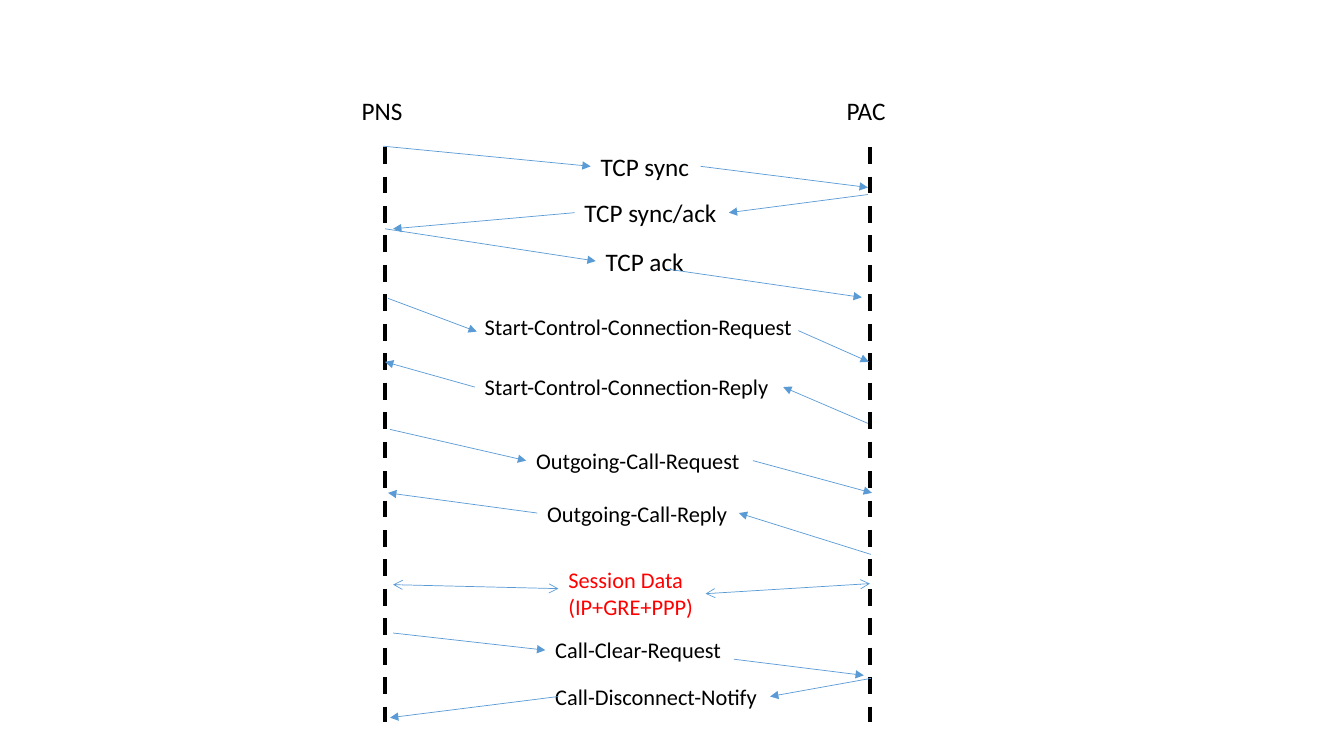
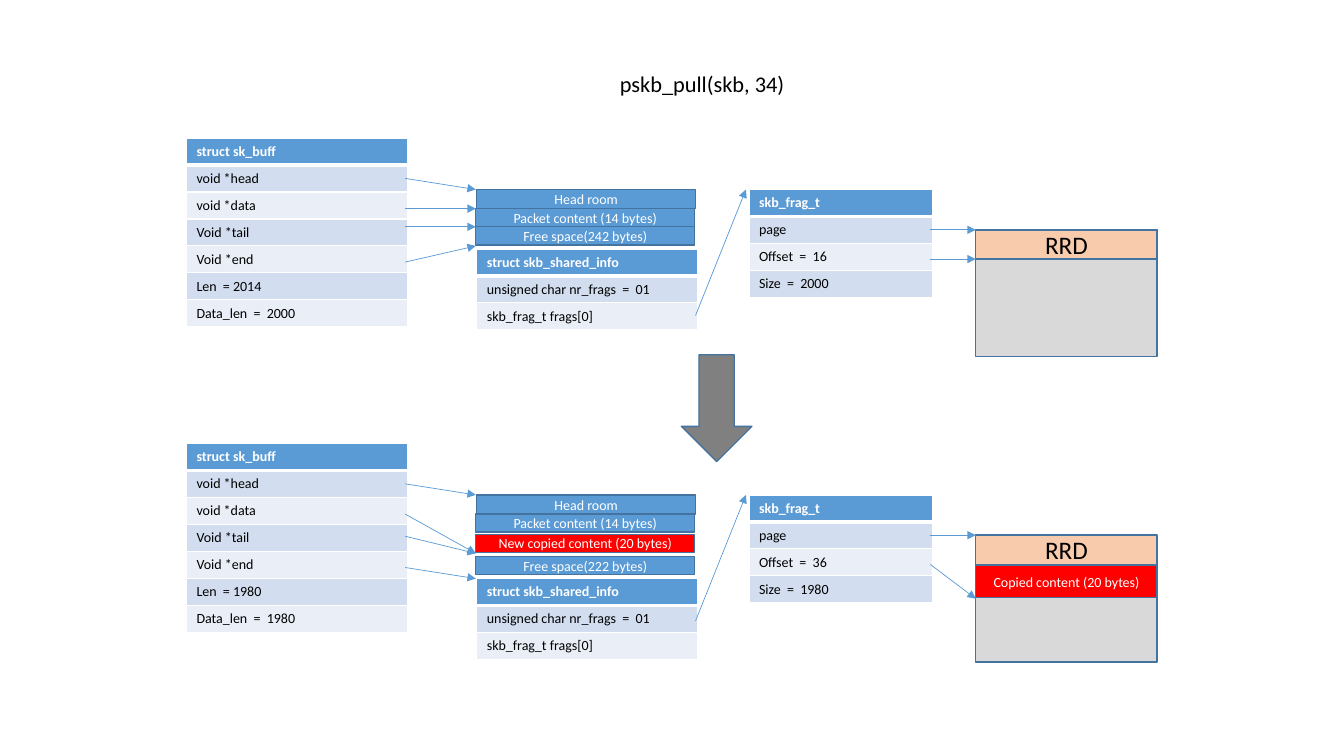
from typing import NamedTuple

from pptx import Presentation
from pptx import util as u
from pptx.dml.color import RGBColor
from pptx.enum import dml, shapes, text
from pptx.oxml import parse_xml
from pptx.oxml.ns import nsdecls, qn

BLACK = RGBColor(0x00, 0x00, 0x00)
WHITE = RGBColor(0xFF, 0xFF, 0xFF)
RED = RGBColor(0xFF, 0x00, 0x00)
BLUE = RGBColor(0x5B, 0x9B, 0xD5)
OUTLINE = RGBColor(0x43, 0x73, 0x9E)
BAND_DARK = RGBColor(0xD2, 0xDE, 0xEF)
BAND_LIGHT = RGBColor(0xEA, 0xEF, 0xF7)
GRAY = RGBColor(0x80, 0x80, 0x80)
PAGE_GRAY = RGBColor(0xD9, 0xD9, 0xD9)
PEACH = RGBColor(0xF8, 0xCB, 0xAD)

FONT = "Calibri"
CELL = u.Inches(0.1)  # columns and rows of the layout grid
SLIDE_COLUMNS, SLIDE_ROWS = 133.33, 75
TABLE_ROW = 2.67


class Box(NamedTuple):
    left: float
    top: float
    width: float
    height: float

    def inner(self, left, top, width, height):
        """Box whose position is given relative to this one."""
        return Box(self.left + left, self.top + top, width, height)

    def point(self, x, y):
        return self.left + x, self.top + y

    def lengths(self):
        return [cells(value) for value in self]


class Message(NamedTuple):
    """Label of a message and its two legs, each listed from left to right."""
    label: str
    size: int
    area: tuple
    direction: str
    left_leg: tuple
    right_leg: tuple


class BufferState(NamedTuple):
    sk_buff: list
    bars: list
    pointers: list
    shared_top: float
    fragment: list
    offset_target: float
    copied: str


MESSAGES = [
    Message("TCP sync", 18, (20.4, 0, 10.9, 4), "right",
            (-0.2, 0, 20.4, 2), (31.3, 2, 47.9, 4.1)),
    Message("TCP sync/ack", 18, (18.8, 4.6, 15.3, 4), "left",
            (0.8, 8.2, 18.8, 6.6), (34.1, 6.6, 47.9, 4.8)),
    Message("TCP ack", 18, (20.9, 9.4, 9.8, 4), "right",
            (0, 8.2, 20.9, 11.4), (28, 12.2, 47.3, 15)),
    Message("Start-Control-Connection-Request", 16, (8.9, 16.1, 33, 3.7), "right",
            (0.3, 15.1, 9.1, 18.4), (41, 18.3, 48, 21.4)),
    Message("Start-Control-Connection-Reply", 16, (8.9, 22, 30.6, 3.7), "left",
            (0, 21.4, 8.9, 23.9), (39.5, 23.9, 47.9, 27.5)),
    Message("Outgoing-Call-Request", 16, (14, 29.4, 22.4, 3.7), "right",
            (0.5, 28.1, 14, 31.2), (36.5, 31.2, 48.3, 34.4)),
    Message("Outgoing-Call-Reply", 16, (15.1, 34.6, 20.1, 3.7), "left",
            (0.3, 34.4, 15.1, 36.4), (35.1, 36.4, 48.2, 40.5)),
    Message("Session Data\n(IP+GRE+PPP)", 16, (17.2, 41.2, 14.6, 6.4), "both",
            (0.8, 43.5, 17.2, 43.9), (31.8, 44.4, 48.1, 43.4)),
    Message("Call-Clear-Request", 16, (15.9, 48.1, 18.7, 3.7), "right",
            (0.8, 48.3, 15.9, 50), (34.6, 50.9, 47.5, 52.5)),
    Message("Call-Disconnect-Notify", 16, (15.9, 52.8, 22.3, 3.7), "left",
            (0.5, 56.7, 17.2, 54.6), (38.2, 54.6, 48.2, 52.8)),
]

BEFORE_PULL = BufferState(
    sk_buff=["Len  = 2014", "Data_len  =  2000"],
    bars=[("Packet content (14 bytes)", 7, BLUE), ("Free space(242 bytes)", 8.8, BLUE)],
    pointers=[(4, 5.1), (7, 7), (8.8, 8.8), (12.3, 10.7)],
    shared_top=11,
    fragment=["Offset  =  16", "Size  =  2000"],
    offset_target=12,
    copied="",
)
AFTER_PULL = BufferState(
    sk_buff=["Len  = 1980", "Data_len  =  1980"],
    bars=[("Packet content (14 bytes)", 7, BLUE),
          ("New copied content (20 bytes)", 9, RED),
          ("Free space(222 bytes)", 11.2, BLUE)],
    pointers=[(4, 5.1), (7, 10.9), (9.2, 10.9), (12.3, 13.4)],
    shared_top=13.4,
    fragment=["Offset  =  36", "Size  =  1980"],
    offset_target=15.4,
    copied="Copied content (20 bytes)",
)


def cells(value):
    return u.Emu(round(value * CELL))


def format_text(frame, size, color, bold=False, align=None):
    for paragraph in frame.paragraphs:
        paragraph.alignment = align
        for run in paragraph.runs:
            run.font.name = FONT
            run.font.size = u.Pt(size)
            run.font.bold = bold
            run.font.color.rgb = color


def add_label(slide, box, words, size, color=BLACK, wrap=False):
    frame = slide.shapes.add_textbox(*box.lengths()).text_frame
    frame.word_wrap = wrap
    frame.auto_size = text.MSO_AUTO_SIZE.SHAPE_TO_FIT_TEXT
    frame.text = words
    format_text(frame, size, color)


def add_block(slide, box, fill, words="", size=10, color=WHITE,
              kind=shapes.MSO_SHAPE.RECTANGLE):
    shape = slide.shapes.add_shape(kind, *box.lengths())
    shape.shadow.inherit = False
    shape.fill.solid()
    shape.fill.fore_color.rgb = fill
    shape.line.color.rgb = OUTLINE
    shape.line.width = u.Pt(1)
    if words:
        shape.text_frame.text = words
        shape.text_frame.vertical_anchor = text.MSO_ANCHOR.MIDDLE
        format_text(shape.text_frame, size, color, align=text.PP_ALIGN.CENTER)


def add_line(slide, start, end, color=BLUE, width=0.5, dashed=False, head=None, tail=None):
    ends = [cells(value) for value in (*start, *end)]
    connector = slide.shapes.add_connector(shapes.MSO_CONNECTOR.STRAIGHT, *ends)
    connector.line.color.rgb = color
    connector.line.width = u.Pt(width)
    if dashed:
        connector.line.dash_style = dml.MSO_LINE.DASH
    properties = connector._element.spPr
    outline = properties.find(qn("a:ln"))
    for tag, arrow in (("headEnd", head), ("tailEnd", tail)):
        if arrow:
            outline.append(parse_xml(f'<a:{tag} {nsdecls("a")} type="{arrow}"/>'))
    properties.append(parse_xml(f'<a:effectLst {nsdecls("a")}/>'))


def add_arrow(slide, start, end):
    add_line(slide, start, end, tail="triangle")


def set_borders(cell, row):
    """White borders, with a thick rule between the heading and the first row."""
    widths = {"L": 1, "R": 1, "T": 3 if row == 1 else 1, "B": 3 if row == 0 else 1}
    properties = cell._tc.get_or_add_tcPr()
    for side, width in widths.items():
        properties.append(parse_xml(
            f'<a:ln{side} {nsdecls("a")} w="{u.Pt(width)}"><a:solidFill>'
            f'<a:srgbClr val="{WHITE}"/></a:solidFill></a:ln{side}>'))


def add_struct(slide, box, left, top, width, lines):
    """Table of one column: the struct name, then its fields."""
    area = box.inner(left, top, width, TABLE_ROW * len(lines))
    table = slide.shapes.add_table(len(lines), 1, *area.lengths()).table
    for index, line in enumerate(lines):
        heading = index == 0
        table.rows[index].height = cells(TABLE_ROW)
        cell = table.cell(index, 0)
        set_borders(cell, index)
        cell.fill.solid()
        cell.fill.fore_color.rgb = BLUE if heading else (BAND_LIGHT, BAND_DARK)[index % 2]
        cell.text_frame.text = line
        format_text(cell.text_frame, 10, WHITE if heading else BLACK, bold=heading)


def draw_message(slide, box, message):
    color = RED if message.direction == "both" else BLACK
    add_label(slide, box.inner(*message.area), message.label, message.size, color)
    for x1, y1, x2, y2 in (message.left_leg, message.right_leg):
        start, end = box.point(x1, y1), box.point(x2, y2)
        if message.direction == "both":
            add_line(slide, start, end, head="arrow", tail="arrow")
        elif message.direction == "right":
            add_arrow(slide, start, end)
        else:
            add_arrow(slide, end, start)


def draw_call_sequence(slide, box):
    for name, x, indent, width in (("PNS", 0, 3.3, 6.1), ("PAC", box.width, 3.3, 6.5)):
        add_label(slide, box.inner(x - indent, -5.5, width, 4), name, 18)
        add_line(slide, box.point(x, 0.1), box.point(x, box.height), BLACK, 3, dashed=True)
    for message in MESSAGES:
        draw_message(slide, box, message)


def draw_head_buffer(slide, box, state):
    """Linear buffer: bars of bytes above the shared info."""
    add_struct(slide, box, 0, state.shared_top - 5.1, 21.9,
               ["struct skb_shared_info", "unsigned char nr_frags  =  01",
                "skb_frag_t frags[0]"])
    add_block(slide, box.inner(0, 0, 21.7, 1.9), BLUE, "Head room")
    for words, top, fill in state.bars:
        add_block(slide, box.inner(-0.1, top - 5.1, 21.7, 1.8), fill, words)


def draw_page(slide, box, copied):
    add_block(slide, box, PAGE_GRAY)
    add_block(slide, box.inner(0, 0, box.width, 2.9), PEACH, "RRD", 18, BLACK)
    if copied:
        add_block(slide, box.inner(0, 3, box.width, 3.2), RED, copied)


def draw_buffer_state(slide, box, state):
    add_struct(slide, box, 0, 0, 21.9,
               ["struct sk_buff", "void *head", "void *data", "Void *tail", "Void *end",
                *state.sk_buff])
    draw_head_buffer(slide, box.inner(28.8, 5.1, 21.9, 16.4), state)
    add_struct(slide, box, 55.8, 5.1, 18.2, ["skb_frag_t", "page", *state.fragment])
    draw_page(slide, box.inner(78.3, 9.1, 18, 12.6), state.copied)
    for field, target in state.pointers:
        add_arrow(slide, box.point(21.7, field), box.point(28.7, target))
    add_arrow(slide, box.point(50.5, 17.6), box.point(55.5, 5.1))
    for field, target in ((9.1, 9.1), (12, state.offset_target)):
        add_arrow(slide, box.point(73.8, field), box.point(78.3, target))


def draw_pull_steps(slide, box):
    add_label(slide, box.inner(42, -7.2, 21.2, 3.7), "pskb_pull(skb, 34)", 16, wrap=True)
    for top, state in ((0, BEFORE_PULL), (30.3, AFTER_PULL)):
        draw_buffer_state(slide, box.inner(0, top, box.width, 21.7), state)
    add_block(slide, box.inner(49.1, 21.5, 7, 10.6), GRAY,
              kind=shapes.MSO_SHAPE.DOWN_ARROW)


def main():
    presentation = Presentation()
    presentation.slide_width = cells(SLIDE_COLUMNS)
    presentation.slide_height = cells(SLIDE_ROWS)
    blank = presentation.slide_layouts[6]
    draw_call_sequence(presentation.slides.add_slide(blank), Box(38.2, 14.5, 48.1, 57.1))
    draw_pull_steps(presentation.slides.add_slide(blank), Box(18.5, 13.7, 96.3, 52))
    presentation.save("out.pptx")


if __name__ == "__main__":
    main()
